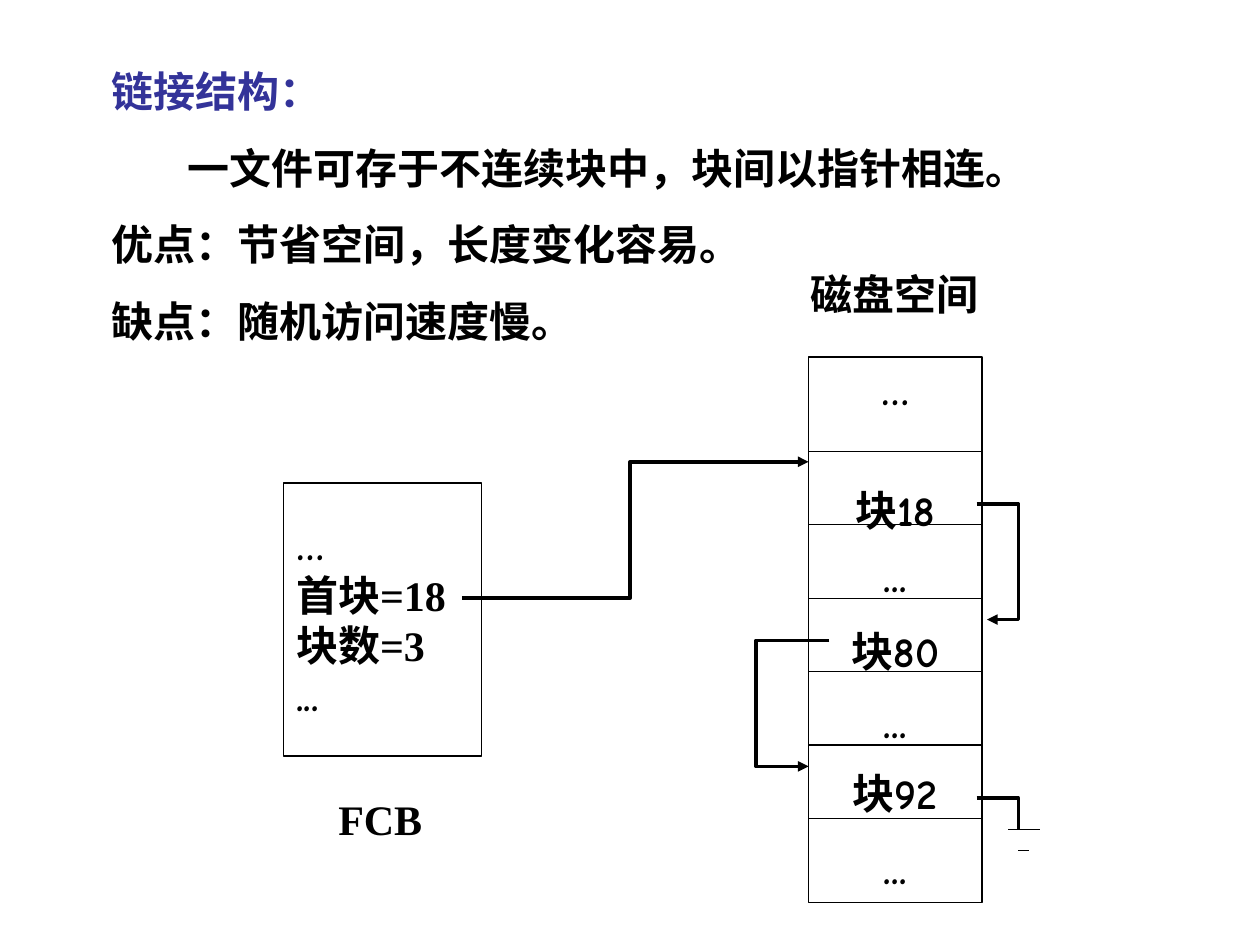
from lxml import etree
from pptx import Presentation
from pptx import util as u
from pptx.dml.color import RGBColor
from pptx.enum import shapes, text
from pptx.oxml import ns

COLORS = {"heading": "333399", "ink": "000000"}
SERIF = "Times New Roman"
COMIC = "Comic Neue"


def rgb(name):
    return RGBColor.from_string(COLORS[name])


def style_line(line, width):
    line.color.rgb = rgb("ink")
    line.width = u.Pt(width)


def style_paragraph(paragraph, font=SERIF, color="ink"):
    paragraph.font.size = u.Pt(24)
    paragraph.font.bold = True
    paragraph.font.name = font
    paragraph.font.color.rgb = rgb(color)


def add_paragraphs(frame, lines):
    """Fill the frame with one paragraph per line and return them."""
    frame.text = "\n".join(lines)
    return frame.paragraphs


def indent_first_line(paragraph, length):
    paragraph._p.get_or_add_pPr().set("indent", str(length))


def add_label(slide, left, top, width, height, lines):
    box = slide.shapes.add_textbox(u.Cm(left), u.Cm(top), u.Cm(width), u.Cm(height))
    frame = box.text_frame
    frame.word_wrap = True
    frame.auto_size = text.MSO_AUTO_SIZE.SHAPE_TO_FIT_TEXT
    paragraphs = add_paragraphs(frame, lines)
    for index, paragraph in enumerate(paragraphs):
        style_paragraph(paragraph)
        if index:
            paragraph.space_before = u.Pt(15)
    return paragraphs


def add_block(slide, left, top, width, height, rows, align):
    """Add an outlined box; each row is text, font and line spacing."""
    shape = slide.shapes.add_shape(
        shapes.MSO_SHAPE.RECTANGLE, u.Cm(left), u.Cm(top), u.Cm(width), u.Cm(height))
    shape.shadow.inherit = False
    shape.fill.background()
    style_line(shape.line, 0.75)
    frame = shape.text_frame
    frame.word_wrap = False
    frame.vertical_anchor = text.MSO_ANCHOR.MIDDLE
    paragraphs = add_paragraphs(frame, [row[0] for row in rows])
    for paragraph, (_, font, spacing) in zip(paragraphs, rows):
        paragraph.alignment = align
        paragraph.line_spacing = spacing
        style_paragraph(paragraph, font)
    return frame


def add_rule(slide, left, right, y):
    rule = slide.shapes.add_connector(
        shapes.MSO_CONNECTOR.STRAIGHT, u.Cm(left), u.Cm(y), u.Cm(right), u.Cm(y))
    style_line(rule.line, 0.75)
    etree.SubElement(rule._element.spPr, ns.qn("a:effectLst"))


def add_pointer(slide, points, arrow=True):
    """Draw a thick bent line, with an arrowhead at its end if wanted."""
    start, *rest = [(u.Cm(x), u.Cm(y)) for x, y in points]
    builder = slide.shapes.build_freeform(*start)
    builder.add_line_segments(rest, close=False)
    shape = builder.convert_to_shape()
    shape.shadow.inherit = False
    shape.fill.background()
    style_line(shape.line, 2)
    if arrow:
        head = etree.SubElement(shape.line._get_or_add_ln(), ns.qn("a:tailEnd"))
        head.set("type", "triangle")


def add_summary(slide):
    paragraphs = add_label(slide, 2, 1.2, 21.6, 5.92, [
        "链接结构：",
        "一文件可存于不连续块中，块间以指针相连。",
        "优点：节省空间，长度变化容易。",
        "缺点：随机访问速度慢。",
    ])
    paragraphs[0].font.color.rgb = rgb("heading")
    indent_first_line(paragraphs[1], u.Cm(1.53))


def add_disk(slide):
    left, top, width, height = 16.3, 7.2, 3.5, 11
    rows = [("…", 1.9), ("块18", 2.4), ("...", 1.3), ("块80", 1.5),
            ("...", 1.4), ("块92", 1.4), ("...", 1.5)]
    frame = add_block(slide, left, top, width, height,
                      [(line, COMIC, spacing) for line, spacing in rows],
                      text.PP_ALIGN.CENTER)
    frame.margin_bottom = u.Cm(1.1)
    for index in range(len(rows) - 1):
        add_rule(slide, left, left + width, 9.1 + 1.48 * index)
    add_label(slide, 16.09, 5.29, 4.23, 1.27, ["磁盘空间"])


def add_control_block(slide):
    rows = [("…", COMIC, 1.0), ("首块=18", SERIF, 1.0),
            ("块数=3", SERIF, 1.0), ("...", COMIC, 1.0)]
    add_block(slide, 5.72, 9.74, 3.99, 5.5, rows, text.PP_ALIGN.LEFT)
    caption = add_label(slide, 5.93, 15.88, 4.02, 1.27, ["FCB"])[0]
    indent_first_line(caption, u.Cm(0.64))


def add_pointers(slide):
    add_pointer(slide, [(9.31, 12.06), (12.7, 12.06), (12.7, 9.31), (16.3, 9.31)])
    add_pointer(slide, [(19.69, 10.16), (20.53, 10.16), (20.53, 12.49), (19.9, 12.49)])
    add_pointer(slide, [(16.72, 12.91), (15.24, 12.91), (15.24, 15.45), (16.3, 15.45)])
    add_pointer(slide, [(19.69, 16.09), (20.53, 16.09), (20.53, 16.72)], arrow=False)
    add_rule(slide, 20.32, 20.96, 16.72)
    add_rule(slide, 20.53, 20.74, 17.15)


def main():
    presentation = Presentation()
    presentation.slide_width = u.Cm(25.4)
    presentation.slide_height = u.Cm(19.05)
    slide = presentation.slides.add_slide(presentation.slide_layouts[6])
    add_summary(slide)
    add_disk(slide)
    add_control_block(slide)
    add_pointers(slide)
    presentation.save("out.pptx")


if __name__ == "__main__":
    main()
